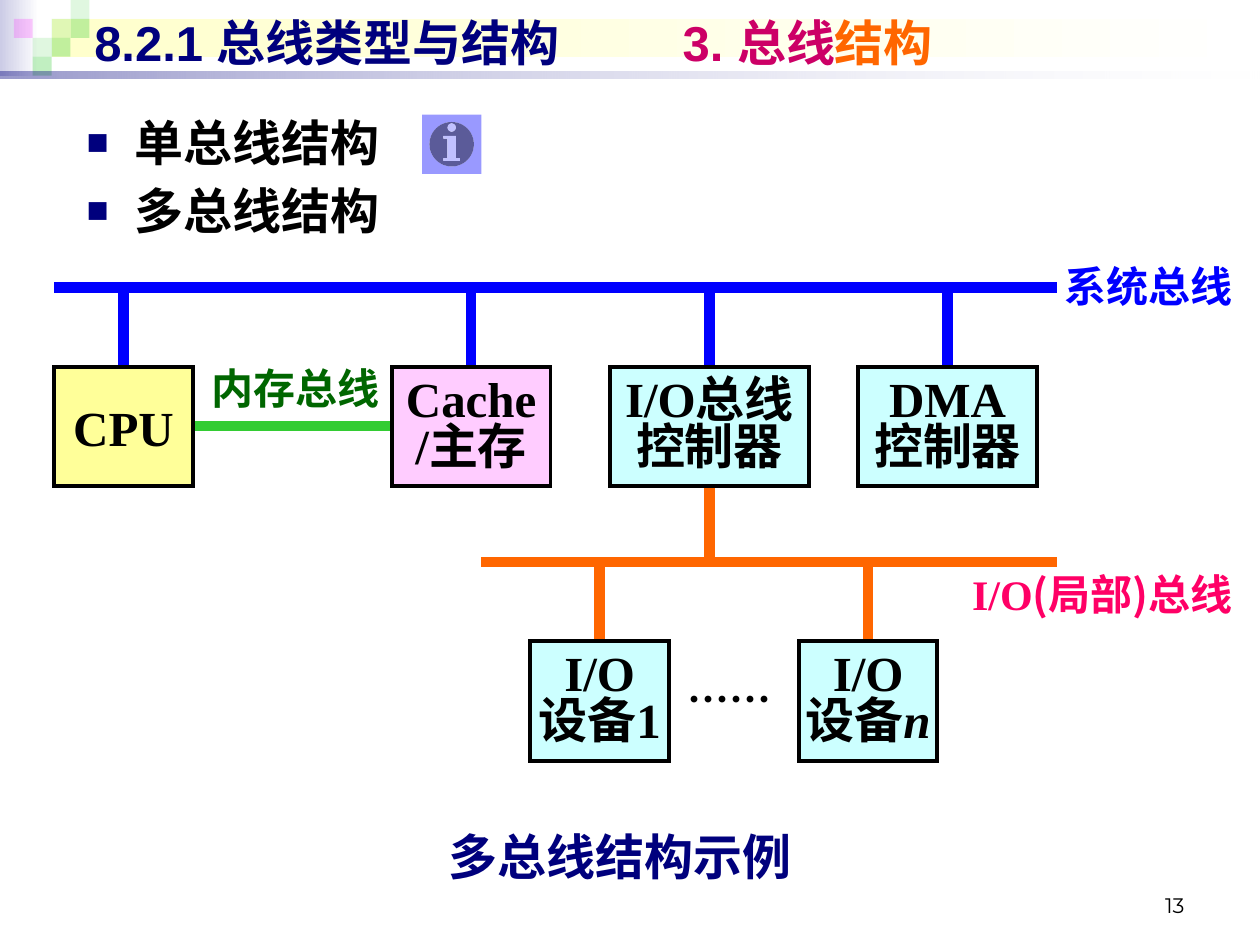
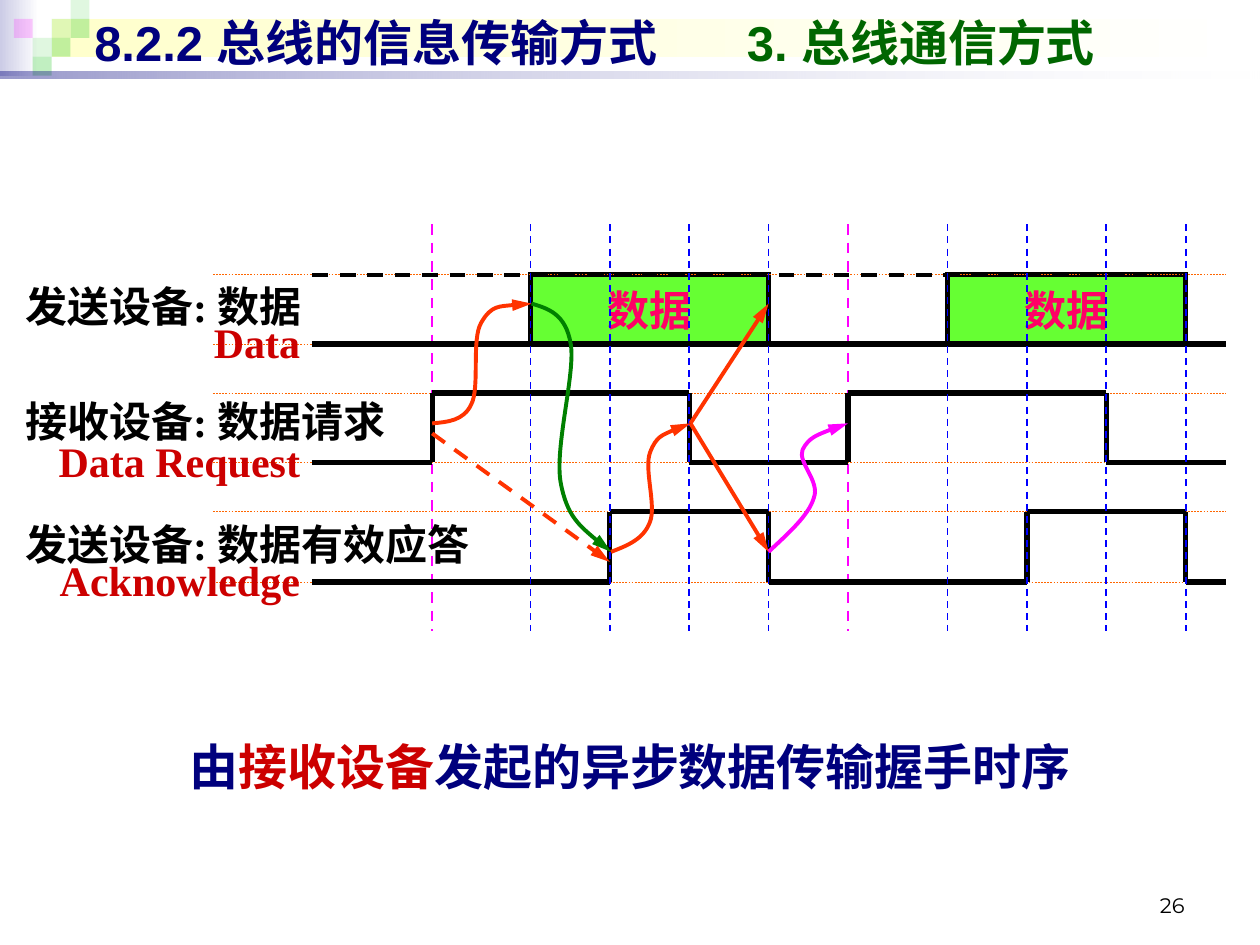
"""Builds two slides on bus structures and on asynchronous bus handshakes."""
from itertools import pairwise
from lxml.etree import SubElement
from pptx import Presentation
from pptx.dml.color import RGBColor
from pptx.enum.dml import MSO_LINE
from pptx.enum.shapes import MSO_CONNECTOR, MSO_SHAPE
from pptx.enum.text import MSO_ANCHOR, PP_ALIGN
from pptx.oxml.ns import qn
from pptx.util import Inches, Pt

HUES = {
    "black": "000000", "white": "FFFFFF", "navy": "00007D", "blue": "0000FF",
    "orange": "FF6600", "red": "CC0000", "flame": "FF3300", "rose": "FF0066",
    "berry": "CC0066", "pink": "FFCCFF", "magenta": "FF00FF", "lilac": "9999FF",
    "haze": "CCCCE6", "cream": "FFFFCC", "yellow": "FFFF99", "cyan": "CCFFFF",
    "lime": "66FF33", "leaf": "33CC33", "green": "008000", "forest": "006600",
}
RGB = {name: RGBColor.from_string(code) for name, code in HUES.items()}
SERIF, SANS, CJK = "Times New Roman", "Arial", "Noto Sans CJK SC"
MID = {"alignment": PP_ALIGN.CENTER}
RIGHT = {"alignment": PP_ALIGN.RIGHT}
TIGHT = {**MID, "line_spacing": 0.8}
BREAK = ("\n", {})


def put(page, at, rows, font=None, para=None, frame=None, fill=None, edge=0):
    """Adds a text box, or a filled box with an edge, from rows of (text, font) runs."""
    place = [Inches(n) for n in at]
    if fill:
        box = page.shapes.add_shape(MSO_SHAPE.RECTANGLE, *place)
        box.shadow.inherit = False
        box.fill.solid()
        box.fill.fore_color.rgb = RGB[fill]
        box.line.color.rgb = RGB["black"]
        box.line.width = Pt(edge)
        SubElement(box.line._ln, qn("a:miter"), lim="800000")
        base = {"word_wrap": False, "vertical_anchor": MSO_ANCHOR.MIDDLE}
    else:
        box = page.shapes.add_textbox(*place)
        base = {"word_wrap": True}
    body = box.text_frame
    for key, val in {**base, **(frame or {})}.items():
        setattr(body, key, val)
    for num, row in enumerate(rows):
        line = body.add_paragraph() if num else body.paragraphs[0]
        for key, val in (para or {}).items():
            setattr(line, key, val)
        for text, extra in row:
            if text == "\n":
                line.add_line_break()
                continue
            run = line.add_run()
            run.text = text
            look = {"size": Pt(28), "name": SERIF, "bold": True, "hue": "black",
                    **(font or {}), **extra}
            run.font.color.rgb = RGB[look.pop("hue")]
            for key, val in look.items():
                setattr(run.font, key, val)
            SubElement(run.font._element, qn("a:ea"), typeface=CJK)
    return box


def wire(page, spots, hue, width, dash=False, tip=False):
    """Adds a straight line for two spots, or a Bézier curve through more."""
    spots = [(Inches(x), Inches(y)) for x, y in spots]
    if len(spots) == 2:
        line = page.shapes.add_connector(MSO_CONNECTOR.STRAIGHT, *spots[0], *spots[1])
        SubElement(line._element.spPr, qn("a:effectLst"))
    else:
        pen = page.shapes.build_freeform(*spots[0])
        pen.add_line_segments(spots[1:], close=False)
        line = pen.convert_to_shape()
        line.shadow.inherit = False
        line.fill.background()
        steps = list(line._element.iter(qn("a:lnTo")))
        track = steps[0].getparent()
        for num in range(0, len(steps), 3):
            bend = SubElement(track, qn("a:cubicBezTo"))
            for step in steps[num:num + 3]:
                bend.append(step[0])
                track.remove(step)
    line.line.color.rgb = RGB[hue]
    line.line.width = Pt(width)
    if dash:
        line.line.dash_style = MSO_LINE.DASH
    if tip:
        SubElement(line.line._ln, qn("a:tailEnd"), type="triangle", w="med", len="lg")


deck = Presentation()
deck.slide_width, deck.slide_height = Inches(10), Inches(7.5)
blank = deck.slide_layouts[6]
buses, timing = [deck.slides.add_slide(blank) for _ in range(2)]

STEP = 0.15
BANDS = [
    ((0, 0, 0.31, 0.6), [("haze", 100), ("white", 100)]),
    ((0.41, 0.15, 9.55, 0.3), [("cream", 100), ("white", 100)]),
]
TILES = [(2, 1, "leaf", 15), (3, 0, "leaf", 15), (3, 1, "leaf", 30), (1, 2, "leaf", 15),
         (0, 1, "magenta", 20), (2, 2, "leaf", 30), (1, 3, "leaf", 30)]
BANDS += [((0.11 + col * STEP, row * STEP, STEP, STEP), [(hue, alpha)])
          for col, row, hue, alpha in TILES]
BANDS.append(((0, 0.57, 10, 0.05), [("navy", 40), ("white", 10)]))
for at, stops in BANDS:
    band = buses.shapes.add_shape(MSO_SHAPE.RECTANGLE, *[Inches(n) for n in at])
    band.shadow.inherit = False
    band.line.fill.background()
    if len(stops) == 1:
        band.fill.solid()
        band.fill.fore_color.rgb = RGB[stops[0][0]]
    else:
        band.fill.gradient()
        band.fill.gradient_angle = 0
        for mark, (hue, alpha) in zip(band.fill.gradient_stops, stops):
            mark.color.rgb = RGB[hue]
    for node, (hue, alpha) in zip(band._element.spPr.iter(qn("a:srgbClr")), stops):
        if alpha < 100:
            SubElement(node, qn("a:alpha"), val=str(alpha * 1000))
    blank.shapes._spTree.append(band._element)

HEADS = [
    (buses, "13", 4.67, [("8.2.1 总线类型与结构\t", {}), ("3. 总线", {"hue": "berry"}),
                         ("结构", {"hue": "orange"})]),
    (timing, "26", 5.18, [("8.2.2 总线的信息传输方式\t", {}),
                          ("3. 总线通信方式", {"hue": "forest"})]),
]
for page, number, stop, title in HEADS:
    put(page, (7.17, 6.83, 2.33, 0.5), [[(number, {})]],
        {"size": Pt(12), "name": "Montserrat", "bold": False}, RIGHT,
        {"vertical_anchor": MSO_ANCHOR.BOTTOM})
    head = put(page, (0.65, 0.05, 9.24, 0.57), [title], {"name": SANS, "hue": "navy"},
               frame={"vertical_anchor": MSO_ANCHOR.MIDDLE})
    tabs = SubElement(head.text_frame.paragraphs[0]._p.get_or_add_pPr(), qn("a:tabLst"))
    SubElement(tabs, qn("a:tab"), pos=str(Inches(stop)), algn="l")

topics = put(buses, (0.59, 0.84, 8.66, 1.26), [[("单总线结构", {})], [("多总线结构", {})]],
             para={"space_before": Pt(5.6)})
for line in topics.text_frame.paragraphs:
    props = line._p.get_or_add_pPr()
    props.set("marL", str(Inches(0.38)))
    props.set("indent", str(Inches(-0.38)))
    tint = SubElement(props, qn("a:buClr"))
    SubElement(tint, qn("a:srgbClr"), val=HUES["navy"])
    SubElement(props, qn("a:buSzPct"), val="75000")
    SubElement(props, qn("a:buFont"), typeface=SANS)
    SubElement(props, qn("a:buChar"), char="■")

info = buses.shapes.add_shape(MSO_SHAPE.ACTION_BUTTON_INFORMATION,
                              *[Inches(n) for n in (3.35, 0.91, 0.47, 0.47)])
info.shadow.inherit = False
info.fill.solid()
info.fill.fore_color.rgb = RGB["lilac"]
info.line.fill.background()

MAIN, LOCAL, DROP = 2.28, 4.46, 0.63
wire(buses, [(3.82, LOCAL), (8.39, LOCAL)], "orange", 6)
wire(buses, [(0.43, MAIN), (8.39, MAIN)], "blue", 6)
wire(buses, [(1.53, 3.38), (3.11, 3.38)], "leaf", 6)
for x in (0.98, 3.74, 5.63, 7.52):
    wire(buses, [(x, MAIN + DROP), (x, MAIN)], "blue", 6)
for x, y in ((5.63, LOCAL), (4.76, LOCAL + DROP), (6.89, LOCAL + DROP)):
    wire(buses, [(x, y), (x, y - DROP)], "orange", 6)

wide = {"name": CJK}
NAMES = [
    ((7.28, 4.46, 2.6, 0.5), "rose", RIGHT,
     [("I/O", {}), ("(", wide), ("局部", {}), (")", wide), ("总线", {})]),
    ((1.38, 2.83, 1.73, 0.5), "forest", RIGHT, [("内存总线", {})]),
    ((8.15, 2.02, 1.73, 0.5), "blue", RIGHT, [("系统总线", {})]),
    ((5.24, 5.3, 1.1, 0.5), "black", MID, [("……", wide)]),
    ((1.14, 6.51, 7.56, 0.57), "navy", MID, [("多总线结构示例", {"size": Pt(28)})]),
]
for at, hue, para, row in NAMES:
    put(buses, at, [row], {"size": Pt(24), "hue": hue}, para)

UNITS = [
    (0.43, 2.91, 1.1, "yellow", MID, [[("CPU", {})]]),
    (4.21, 5.09, 1.1, "cyan", TIGHT, [[("I/O", {}), BREAK, ("设备1", {})]]),
    (3.11, 2.91, 1.26, "pink", TIGHT, [[("Cache", {})], [("/主存", {})]]),
    (6.34, 5.09, 1.1, "cyan", TIGHT,
     [[("I/O", {}), BREAK, ("设备", {}), ("n", {"italic": True})]]),
    (4.84, 2.91, 1.58, "cyan", TIGHT, [[("I/O总线", {}), BREAK, ("控制器", {})]]),
    (6.81, 2.91, 1.42, "cyan", TIGHT, [[("DMA", {}), BREAK, ("控制器", {})]]),
]
for x, y, width, fill, para, rows in UNITS:
    put(buses, (x, y, width, 0.95), rows, para=para, fill=fill, edge=2.25)

TICKS = [3.43, 4.21, 4.84, 5.47, 6.1, 6.73, 7.52, 8.15, 8.78, 9.41]
CYCLES = (TICKS[0], TICKS[5])
START, END = 2.48, 9.73
DATA, ASK, ACK = (2.18, 2.73), (3.12, 3.67), (4.06, 4.62)

for x in (TICKS[1], TICKS[6]):
    put(timing, (x, DATA[0], 1.89, 0.55), [[("数据", {})]],
        {"size": Pt(24), "name": SANS, "hue": "rose"}, MID, fill="lime", edge=3)
for x in CYCLES:
    wire(timing, [(x, 1.78), (x, 5.01)], "magenta", 1.5, dash=True)
for y in DATA + ASK + ACK:
    wire(timing, [(1.69, y), (END, y)], "orange", 0.25, dash=True)
wire(timing, [(START, DATA[0]), (9.1, DATA[0])], "black", 2.25, dash=True)
wire(timing, [(START, DATA[1]), (END, DATA[1])], "black", 3)

for (high, low), turns in ((ASK, (0, 3, 5, 8)), (ACK, (2, 4, 7, 9))):
    spots, level = [(START, low)], low
    for turn in turns:
        spots.append((TICKS[turn], level))
        level = high + low - level
        spots.append((TICKS[turn], level))
    spots.append((END, level))
    for pair in pairwise(spots):
        wire(timing, pair, "black", 3)

for x in TICKS:
    if x not in CYCLES:
        wire(timing, [(x, 1.78), (x, 5.01)], "blue", 1, dash=True)

SIGNALS = [
    (2.18, 2.91, "发送设备: 数据", 2.46, 1.22, "Data"),
    (3.09, 3.62, "接收设备: 数据请求", 3.41, 0.28, "Data Request"),
    (4.07, 4.09, "发送设备: 数据有效应答", 4.35, 0.28, "Acknowledge"),
]
for top, width, name, low, left, term in SIGNALS:
    put(timing, (0.2, top, width, 0.5), [[(name, {})]], {"size": Pt(24)},
        frame={"margin_left": 0})
    put(timing, (left, low, START - left, 0.5), [[(term, {})]],
        {"size": Pt(24), "hue": "red"}, RIGHT)

CURVES = [
    ("flame", [(3.43, 3.36), (3.55, 3.35), (3.68, 3.34), (3.74, 3.21), (3.81, 3.08),
               (3.74, 2.69), (3.82, 2.56), (3.9, 2.42), (4.06, 2.42), (4.22, 2.41)]),
    ("green", [(4.22, 2.41), (4.35, 2.45), (4.49, 2.49), (4.53, 2.73), (4.57, 2.96),
               (4.4, 3.55), (4.45, 3.83), (4.5, 4.1), (4.67, 4.24), (4.85, 4.38)]),
    ("flame", [(4.85, 4.38), (4.98, 4.33), (5.11, 4.28), (5.16, 4.14), (5.21, 4.01),
               (5.11, 3.72), (5.16, 3.59), (5.21, 3.46), (5.34, 3.41), (5.48, 3.36)]),
    ("magenta", [(6.1, 4.38), (6.26, 4.23), (6.42, 4.09), (6.46, 3.95), (6.51, 3.82),
                 (6.33, 3.67), (6.37, 3.57), (6.42, 3.47), (6.58, 3.41), (6.73, 3.36)]),
]
for hue, spots in CURVES:
    wire(timing, spots, hue, 2.25, tip=True)
for y in (4.38, 2.41):
    wire(timing, [(5.48, 3.36), (6.1, y)], "flame", 2.25, tip=True)
wire(timing, [(3.43, 3.44), (4.84, 4.46)], "flame", 2.25, dash=True, tip=True)

put(timing, (1.14, 5.8, 7.72, 0.57),
    [[("由", {}), ("接收设备", {"hue": "red"}), ("发起的异步数据传输握手时序", {})]],
    {"hue": "navy"}, MID)

deck.save("out.pptx")
